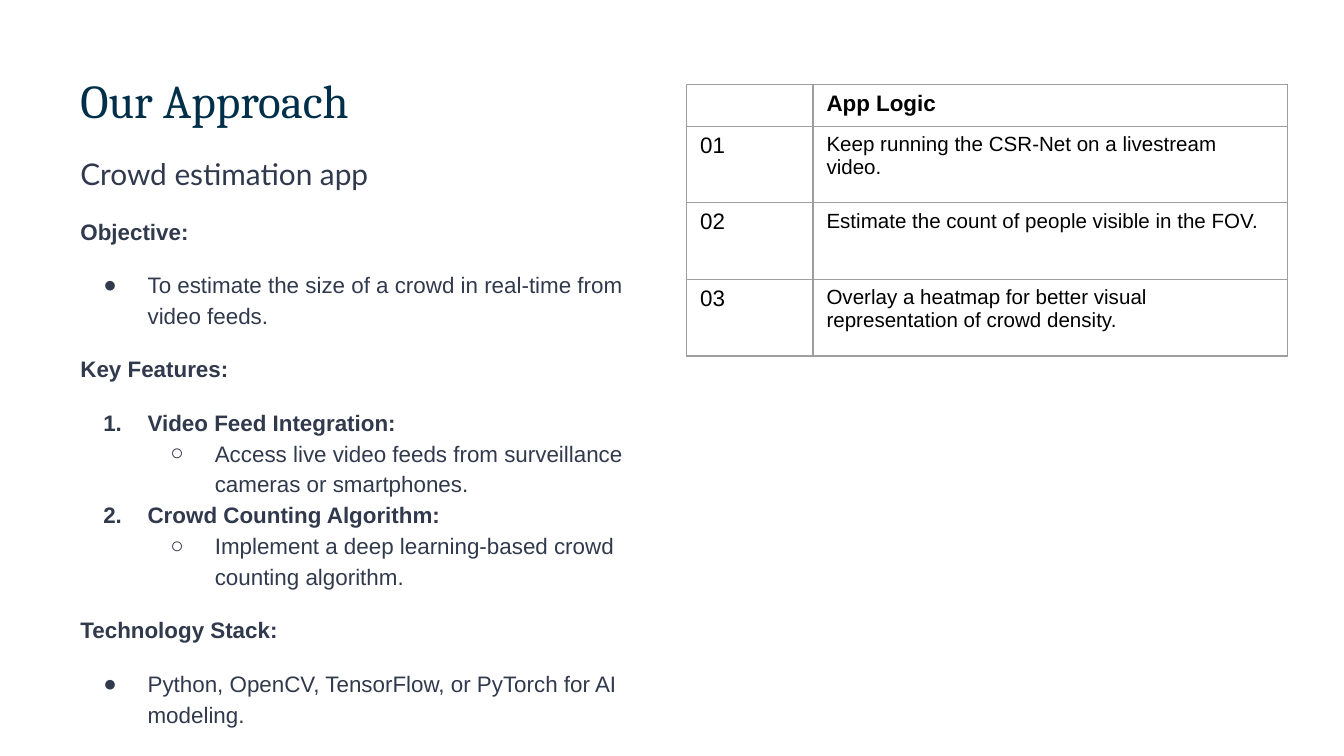
from dataclasses import dataclass

from lxml.etree import SubElement
from pptx import Presentation
from pptx.dml.color import RGBColor
from pptx.enum.text import MSO_ANCHOR
from pptx.oxml import parse_xml
from pptx.oxml.ns import nsdecls, qn
from pptx.util import Inches, Pt


@dataclass(frozen=True)
class Theme:
    """Colours, fonts and type sizes of the slide."""
    title_color: str = "002F4A"
    body_color: str = "31394D"
    table_color: str = "000000"
    border_color: str = "9E9E9E"
    title_font: str = "Cambria"
    subtitle_font: str = "Lato"
    body_font: str = "Arial"
    title_size: float = 25.2
    subtitle_size: float = 16
    body_size: int = 12
    step_size: int = 11
    border_width: float = 0.75


THEME = Theme()

HEADING, POINT, FEATURE, DETAIL = "heading", "point", "feature", "detail"
APPROACH = [
    (HEADING, "Objective:"),
    (POINT, "To estimate the size of a crowd in real-time from video feeds."),
    (HEADING, "Key Features:"),
    (FEATURE, "Video Feed Integration:"),
    (DETAIL, "Access live video feeds from surveillance cameras or smartphones."),
    (FEATURE, "Crowd Counting Algorithm:"),
    (DETAIL, "Implement a deep learning-based crowd counting algorithm."),
    (HEADING, "Technology Stack:"),
    (POINT, "Python, OpenCV, TensorFlow, or PyTorch for AI modeling."),
]
STEPS = [
    "Keep running the CSR-Net on a livestream video.",
    "Estimate the count of people visible in the FOV.",
    "Overlay a heatmap for better visual representation of crowd density.",
]


def add_span(para, text, font, size, color, bold=False):
    """Add one formatted run to a paragraph."""
    span = para.add_run()
    span.text = text
    span.font.name = font
    span.font.size = Pt(size)
    span.font.bold = bold
    span.font.color.rgb = RGBColor.from_string(color)


def add_box(slide, left, top, width, height):
    """Add a wrapping text box and return its text frame."""
    box = slide.shapes.add_textbox(Inches(left), Inches(top), Inches(width), Inches(height))
    frame = box.text_frame
    frame.word_wrap = True
    frame.vertical_anchor = MSO_ANCHOR.TOP
    frame.margin_left = frame.margin_right = Inches(0.1)
    frame.margin_top = frame.margin_bottom = Inches(0.1)
    return frame


def add_bullet(para, kind):
    """Give a list paragraph its indent and its bullet or number."""
    para.level = 1 if kind == DETAIL else 0
    properties = para._p.get_or_add_pPr()
    properties.set("marL", str(Inches(0.5 * (para.level + 1))))
    properties.set("indent", str(Inches(-0.33)))
    color = SubElement(properties, qn("a:buClr"))
    SubElement(color, qn("a:srgbClr")).set("val", THEME.body_color)
    SubElement(properties, qn("a:buFont")).set("typeface", THEME.body_font)
    if kind == FEATURE:
        SubElement(properties, qn("a:buAutoNum")).set("type", "arabicPeriod")
    else:
        SubElement(properties, qn("a:buChar")).set("char", "○" if kind == DETAIL else "●")


def add_approach(slide):
    """Add the subtitle with the outline of the approach below it."""
    frame = add_box(slide, 0.5, 1.06, 4.39, 4.16)
    add_span(frame.paragraphs[0], "Crowd estimation app",
             THEME.subtitle_font, THEME.subtitle_size, THEME.body_color)
    previous = None
    for kind, text in APPROACH:
        para = frame.add_paragraph()
        if kind != HEADING:
            add_bullet(para, kind)
        para.line_spacing = 1.15
        para.space_before = Pt(12 if HEADING in (kind, previous) else 0)
        add_span(para, text, THEME.body_font, THEME.body_size, THEME.body_color,
                 kind in (HEADING, FEATURE))
        previous = kind


def style_cell(cell):
    """Clear the fill of a cell and draw its four borders."""
    cell.fill.background()
    properties = cell._tc.get_or_add_tcPr()
    for index, side in enumerate(("lnL", "lnR", "lnT", "lnB")):
        properties.insert(index, parse_xml(
            f'<a:{side} {nsdecls("a")} w="{Pt(THEME.border_width)}"><a:solidFill>'
            f'<a:srgbClr val="{THEME.border_color}"/></a:solidFill></a:{side}>'))


def fill_cell(cell, text, size, bold=False):
    """Style a cell and write its text, if it has any."""
    style_cell(cell)
    para = cell.text_frame.paragraphs[0]
    if text:
        add_span(para, text, THEME.body_font, size, THEME.table_color, bold)
    else:
        SubElement(para._p, qn("a:endParaRPr")).set("sz", str(size * 100))


def add_logic_table(slide):
    """Add the table of numbered app logic steps."""
    frame = slide.shapes.add_table(len(STEPS) + 1, 2, Inches(5.11), Inches(0.63),
                                   Inches(4.47), Inches(2.02))
    table = frame.table
    table.first_row = table.horz_banding = False
    for column, width in zip(table.columns, (0.94, 3.53)):
        column.width = Inches(width)
    for index, row in enumerate(table.rows):
        row.height = Inches(0.57 if index else 0.31)
    fill_cell(table.cell(0, 0), "", THEME.body_size)
    fill_cell(table.cell(0, 1), "App Logic", THEME.body_size, True)
    for number, step in enumerate(STEPS, 1):
        fill_cell(table.cell(number, 0), f"{number:02}", THEME.body_size)
        fill_cell(table.cell(number, 1), step, THEME.step_size)


def main():
    """Build the slide and save the deck."""
    deck = Presentation()
    deck.slide_width = Inches(10)
    deck.slide_height = Inches(10 * 9 / 16)
    slide = deck.slides.add_slide(deck.slide_layouts[6])
    title = add_box(slide, 0.5, 0.43, 4.78, 0.63)
    add_span(title.paragraphs[0], "Our Approach",
             THEME.title_font, THEME.title_size, THEME.title_color)
    add_approach(slide)
    add_logic_table(slide)
    deck.save("out.pptx")


if __name__ == "__main__":
    main()
